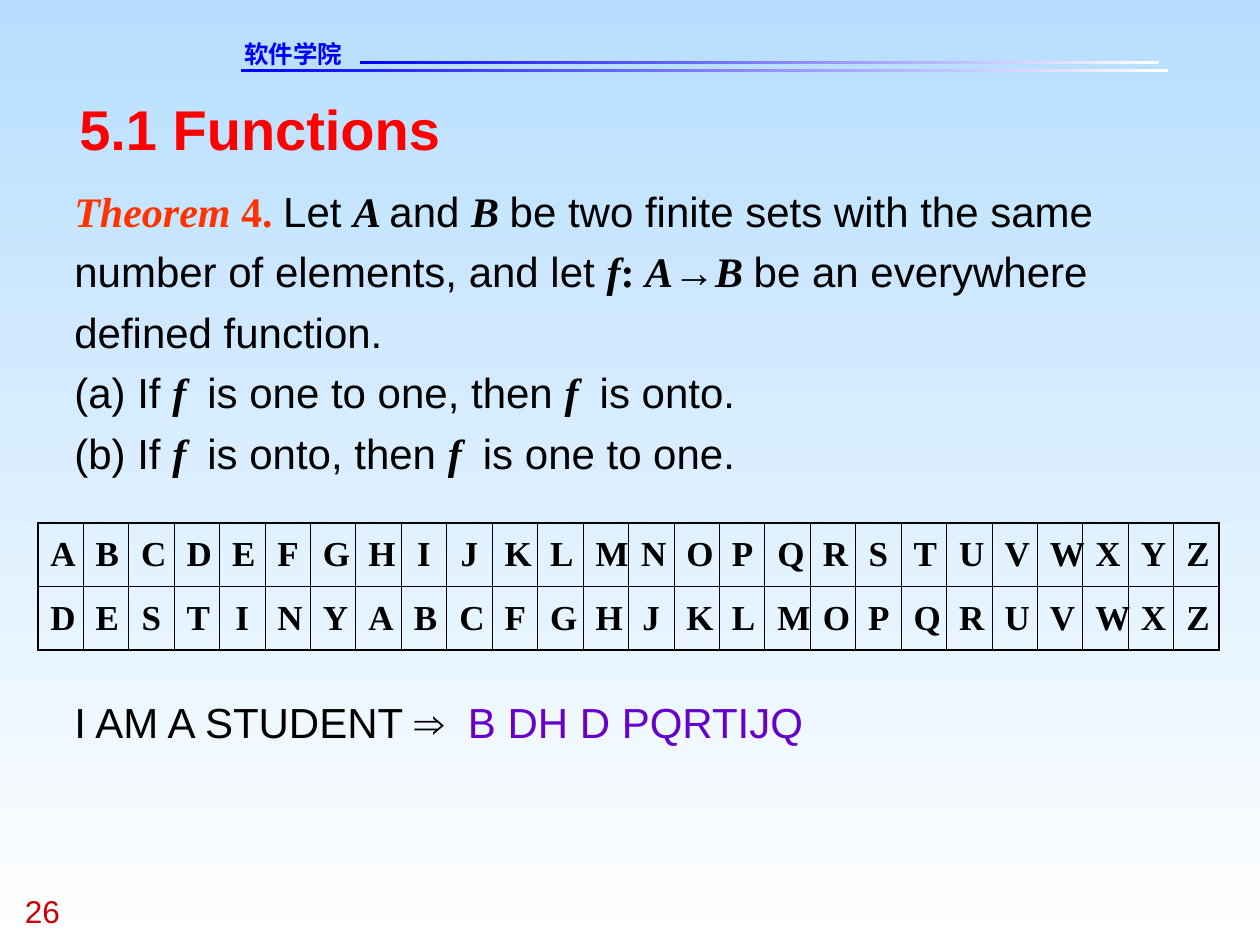
from lxml.etree import SubElement
from pptx import Presentation
from pptx.dml.color import RGBColor
from pptx.enum.shapes import MSO_SHAPE
from pptx.enum.text import MSO_ANCHOR, MSO_AUTO_SIZE, PP_ALIGN
from pptx.oxml.ns import qn
from pptx.util import Cm, Pt

COLORS = {
    "sky": "B7DEFF", "white": "FFFFFF", "blue": "0000FF", "red": "FF0000",
    "orange": "FF3300", "black": "000000", "purple": "6600CC", "crimson": "CC0000",
}
SERIF, SANS = "Times New Roman", "Arial"


def rgb(name):
    return RGBColor.from_string(COLORS[name])


def add_runs(p, runs):
    """Add (text, format) runs; "spacing" in a format is extra points per letter."""
    for text, fmt in runs:
        r = p.add_run()
        r.text = text
        for key, value in fmt.items():
            if key == "color":
                r.font.color.rgb = rgb(value)
            elif key == "spacing":
                r._r.get_or_add_rPr().set("spc", str(round(value * 100)))
            else:
                setattr(r.font, key, value)


prs = Presentation()
prs.slide_width, prs.slide_height = Cm(25.4), Cm(19.05)
s = prs.slides.add_slide(prs.slide_layouts[6])

# Background and header rules share a two-stop gradient
bg = s.background.fill
fills = [(bg, 270, "sky", "white")]
for left, top, width in [(4.85, 1.4, 18.7), (7.26, 1.24, 16.1)]:
    bar = s.shapes.add_shape(MSO_SHAPE.RECTANGLE, Cm(left), Cm(top), Cm(width), Cm(0.06))
    bar.shadow.inherit = False
    bar.line.fill.background()
    fills.append((bar.fill, 180, "white", "blue"))
for fill, angle, start, end in fills:
    fill.gradient()
    fill.gradient_angle = angle
    for stop, color in zip(fill.gradient_stops, (start, end)):
        stop.color.rgb = rgb(color)

# Text boxes
plain = {"name": SANS, "size": Pt(24), "color": "black"}
symbol = {**plain, "name": SERIF, "bold": True, "italic": True}
upright = {**symbol, "italic": False}
theorem = {**symbol, "color": "orange"}
func = ("f ", {**symbol, "spacing": 3})

statement = [
    [("Theorem ", theorem), ("4. ", {**theorem, "italic": False}),
     ("Let ", plain), ("A ", symbol), ("and ", plain), ("B ", symbol),
     ("be two finite sets with the same number of elements, and let ", plain),
     ("f", symbol), (": ", upright), ("A", symbol),
     ("→", {**upright, "name": SANS}), ("B ", symbol),
     ("be an everywhere defined function.", plain)],
    [("(a) If ", plain), func, ("is one to one, then ", plain), func, ("is onto.", plain)],
    [("(b) If ", plain), func, ("is onto, then ", plain), func, ("is one to one.", plain)],
]
cipher = [[("I AM A STUDENT ", plain), ("⇒ ", {**plain, "spacing": 3.33}),
           ("B DH D PQRTIJQ", {**plain, "color": "purple"})]]
school = {"name": "DejaVu Sans", "size": Pt(14), "color": "blue", "bold": True}
title = {"name": SANS, "size": Pt(32), "color": "red", "bold": True}
number = {"name": SANS, "size": Pt(18), "color": "crimson"}

boxes = [
    (4.92, 0.79, 3.68, 0.6, 1, [[("软件学院", school)]]),
    (0.5, 17.98, 1.9, 0.76, 1, [[("26", number)]]),
    (1.6, 1.9, 22.22, 1.36, 1, [[("5.1 Functions", title)]]),
    (1.5, 3.53, 22.25, 6.1, 1.2, statement),
    (1.5, 13.84, 22.25, 1.22, 1.2, cipher),
]
for left, top, width, height, spacing, paragraphs in boxes:
    tf = s.shapes.add_textbox(Cm(left), Cm(top), Cm(width), Cm(height)).text_frame
    tf.word_wrap = True
    tf.auto_size = MSO_AUTO_SIZE.SHAPE_TO_FIT_TEXT
    tf.margin_left = tf.margin_right = tf.margin_top = tf.margin_bottom = 0
    for i, runs in enumerate(paragraphs):
        p = tf.add_paragraph() if i else tf.paragraphs[0]
        p.line_spacing = spacing
        add_runs(p, runs)

# Substitution table: heavier lines outside, thin lines inside
rows = ["ABCDEFGHIJKLMNOPQRSTUVWXYZ", "DESTINYABCFGHJKLMOPQRUVWXZ"]
n_rows, n_cols = len(rows), len(rows[0])
width, height = Cm(23.83), Cm(2.56)
table = s.shapes.add_table(n_rows, n_cols, Cm(0.76), Cm(10.54), width, height).table
table.first_row = table.horz_banding = False
for col in table.columns:
    col.width = width // n_cols
for row in table.rows:
    row.height = height // n_rows

for i, letters in enumerate(rows):
    for j, letter in enumerate(letters):
        cell = table.cell(i, j)
        cell.vertical_anchor = MSO_ANCHOR.MIDDLE
        p = cell.text_frame.paragraphs[0]
        p.alignment = PP_ALIGN.CENTER
        add_runs(p, [(letter, {**upright, "size": Pt(20)})])
        outer = {"L": j == 0, "R": j == n_cols - 1, "T": i == 0, "B": i == n_rows - 1}
        for side, is_outer in outer.items():
            ln = SubElement(cell._tc.get_or_add_tcPr(), qn(f"a:ln{side}"),
                            w=str(Pt(1.08 if is_outer else 0.45)))
            SubElement(SubElement(ln, qn("a:solidFill")), qn("a:srgbClr"), val=COLORS["black"])
        cell.fill.background()

prs.save("out.pptx")
